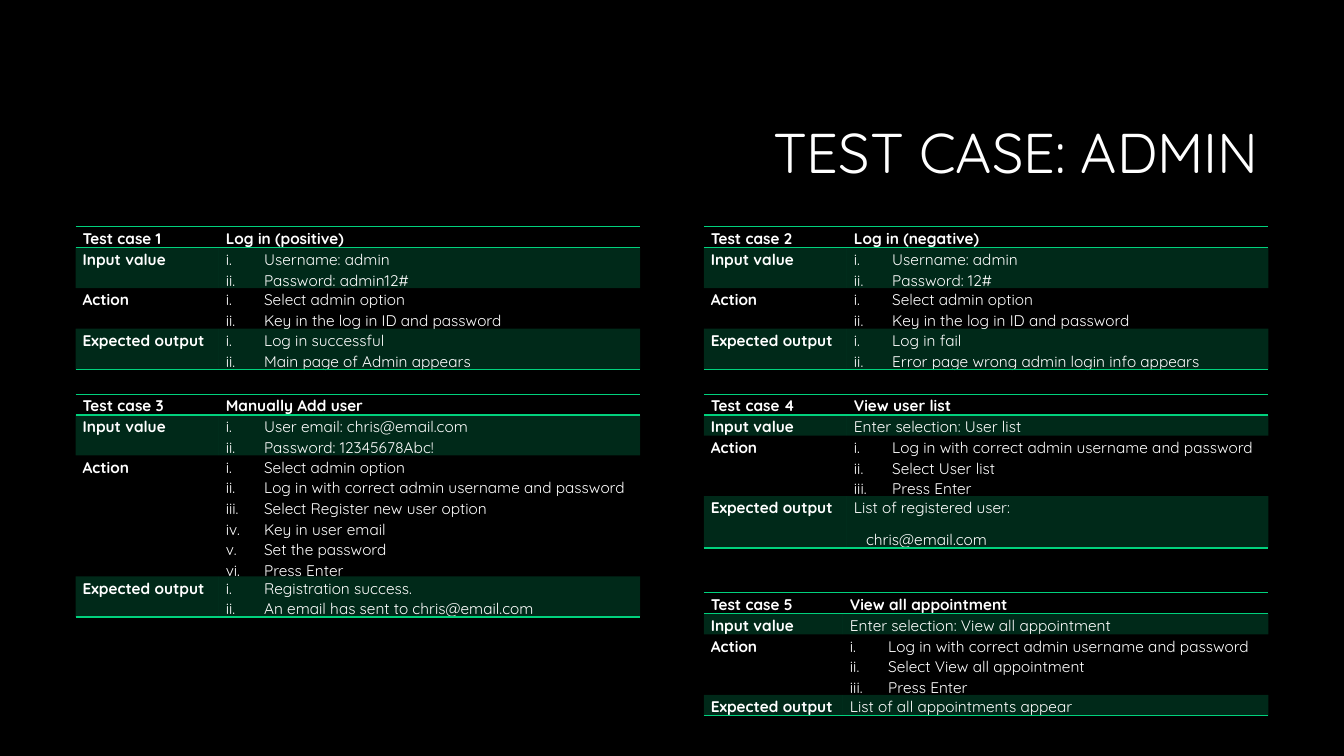
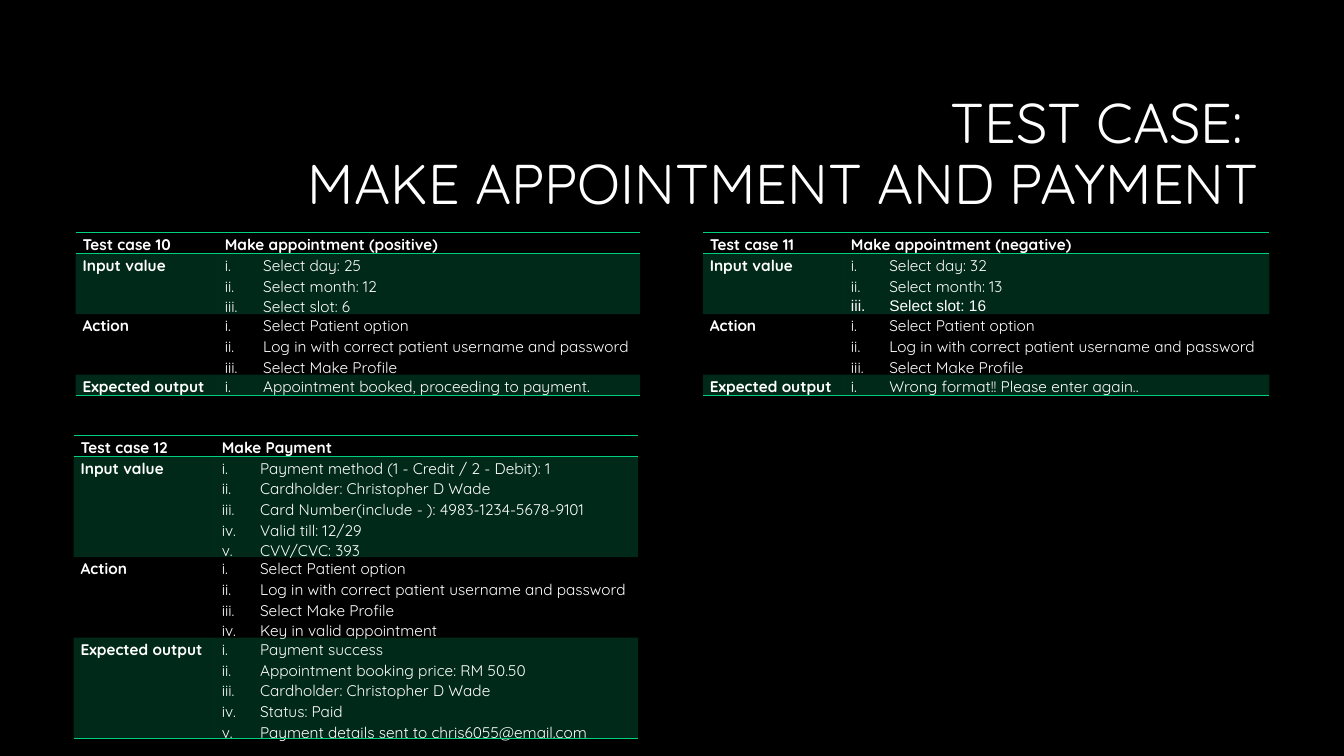
from lxml.etree import SubElement
from pptx import Presentation
from pptx.dml.color import RGBColor
from pptx.enum.text import MSO_ANCHOR, PP_ALIGN
from pptx.oxml.ns import qn
from pptx.util import Inches, Pt

THEME = {
    "background": RGBColor.from_string("000000"),
    "text": RGBColor.from_string("FFFFFF"),
    "accent": "01D17D",
    "band_alpha": "20000",
    "font": "Quicksand",
    "font_exceptions": {"Select slot: 16": "Arial"},
    "title_size": Pt(40),
    "table_size": Pt(11),
    "table_style": "{2D5ABB26-0587-4C30-8999-92F81FD0307C}",
    "border_width": Pt(1),
}
CELL_MARGINS = {
    "margin_left": Inches(0.07),
    "margin_top": Inches(0.01),
    "margin_right": Inches(0.07),
    "margin_bottom": Inches(0),
}
ROW_LABELS = ["Input value", "Action", "Expected output"]
LINE_HEIGHT = 0.2
LEFT, RIGHT = 0.75, 6.98
ADMIN_LOGIN = "Log in with correct admin username and password"
LOGIN_STEPS = ["Select admin option", "Key in the log in ID and password"]
PATIENT_STEPS = [
    "Select Patient option",
    "Log in with correct patient username and password",
    "Select Make Profile",
]
CARDHOLDER = "Cardholder: Christopher D Wade"

SLIDES = [
    {
        "title": "TEST CASE: ADMIN",
        "title_left": 3.17,
        "cases": [
            (1, "Log in (positive)", LEFT, 2.25, (1.42, 4.18), [
                ["Username: admin", "Password: admin12#"],
                LOGIN_STEPS,
                ["Log in successful", "Main page of Admin appears"],
            ]),
            (2, "Log in (negative)", RIGHT, 2.25, (1.42, 4.18), [
                ["Username: admin", "Password: 12#"],
                LOGIN_STEPS,
                ["Log in fail", "Error page wrong admin login info appears"],
            ]),
            (3, "Manually Add user", LEFT, 3.91, (1.42, 4.18), [
                ["User email: chris@email.com", "Password: 12345678Abc!"],
                ["Select admin option", ADMIN_LOGIN, "Select Register new user option",
                 "Key in user email", "Set the password", "Press Enter"],
                ["Registration success.", "An email has sent to chris@email.com"],
            ]),
            (4, "View user list", RIGHT, 3.91, (1.42, 4.18), [
                ("Enter selection: User list",),
                [ADMIN_LOGIN, "Select User list", "Press Enter"],
                ("List of registered user:", "chris@email.com"),
            ]),
            (5, "View all appointment", RIGHT, 5.88, (1.38, 4.22), [
                ("Enter selection: View all appointment",),
                [ADMIN_LOGIN, "Select View all appointment", "Press Enter"],
                ("List of all appointments appear",),
            ]),
        ],
    },
    {
        "title": "TEST CASE: \vMAKE APPOINTMENT AND PAYMENT",
        "title_left": 1.26,
        "cases": [
            (10, "Make appointment (positive)", LEFT, 2.31, (1.41, 4.19), [
                ["Select day: 25", "Select month: 12", "Select slot: 6"],
                PATIENT_STEPS,
                ["Appointment booked, proceeding to payment."],
            ]),
            (11, "Make appointment (negative)", 6.97, 2.31, (1.4, 4.22), [
                ["Select day: 32", "Select month: 13", "Select slot: 16"],
                PATIENT_STEPS,
                ["Wrong format!! Please enter again.."],
            ]),
            (12, "Make Payment", 0.73, 4.32, (1.4, 4.2), [
                ["Payment method (1 - Credit / 2 - Debit): 1", CARDHOLDER,
                 "Card Number(include - ): 4983-1234-5678-9101",
                 "Valid till: 12/29", "CVV/CVC: 393"],
                PATIENT_STEPS + ["Key in valid appointment"],
                ["Payment success", "Appointment booking price: RM 50.50", CARDHOLDER,
                 "Status: Paid", "Payment details sent to chris6055@email.com"],
            ]),
        ],
    },
]


def write_paragraph(paragraph, text, size, bold=False):
    paragraph.text = text
    for run in paragraph.runs:
        run.font.name = THEME["font_exceptions"].get(text, THEME["font"])
        run.font.size = size
        run.font.bold = bold
        run.font.color.rgb = THEME["text"]


def fill_cell(cell, content, bold, banded, borders):
    for name, value in CELL_MARGINS.items():
        setattr(cell, name, value)
    properties = cell._tc.get_or_add_tcPr()
    for side in borders:
        line = SubElement(properties, qn(f"a:{side}"), w=str(THEME["border_width"]))
        solid = SubElement(line, qn("a:solidFill"))
        SubElement(solid, qn("a:srgbClr"), val=THEME["accent"])
    if banded:
        cell.fill.solid()
        cell.fill.fore_color.rgb = RGBColor.from_string(THEME["accent"])
        color = properties.find(qn("a:solidFill")).find(qn("a:srgbClr"))
        SubElement(color, qn("a:alpha"), val=THEME["band_alpha"])
    else:
        cell.fill.background()
    numbered = isinstance(content, list)
    frame = cell.text_frame
    for index, text in enumerate(content):
        paragraph = frame.add_paragraph() if index else frame.paragraphs[0]
        paragraph.line_spacing = 1.07
        paragraph.space_after = Pt(0 if numbered else 8)
        layout = paragraph._p.get_or_add_pPr()
        if numbered:
            layout.set("marL", str(Inches(0.38)))
            layout.set("indent", str(Inches(-0.38)))
            SubElement(layout, qn("a:buFont"), typeface="+mj-lt")
            SubElement(layout, qn("a:buAutoNum"), type="romanLcPeriod")
        elif index:
            layout.set("marL", str(Inches(0.12)))
        write_paragraph(paragraph, text, THEME["table_size"], bold)


presentation = Presentation()
presentation.slide_width = Inches(13.33)
presentation.slide_height = Inches(7.5)
master_fill = presentation.slide_master.background.fill
master_fill.solid()
master_fill.fore_color.rgb = THEME["background"]

for content in SLIDES:
    slide = presentation.slides.add_slide(presentation.slide_layouts[6])
    title_left = content["title_left"]
    title = slide.shapes.add_textbox(
        Inches(title_left), Inches(0.84), Inches(12.58 - title_left), Inches(1.41)
    )
    title.text_frame.word_wrap = True
    title.text_frame.vertical_anchor = MSO_ANCHOR.MIDDLE
    paragraph = title.text_frame.paragraphs[0]
    paragraph.alignment = PP_ALIGN.RIGHT
    paragraph.line_spacing = 0.9
    write_paragraph(paragraph, content["title"], THEME["title_size"])

    for number, name, left, top, widths, details in content["cases"]:
        rows = [((f"Test case {number}",), (name,))]
        rows += [((label,), detail) for label, detail in zip(ROW_LABELS, details)]
        line_total = sum(len(detail) for _, detail in rows)
        table = slide.shapes.add_table(
            len(rows), len(widths), Inches(left), Inches(top),
            Inches(sum(widths)), Inches(LINE_HEIGHT * line_total),
        ).table
        table.first_row = table.horz_banding = False
        table._tbl.tblPr.find(qn("a:tableStyleId")).text = THEME["table_style"]
        for column, width in zip(table.columns, widths):
            column.width = Inches(width)
        for row_index, row in enumerate(rows):
            table.rows[row_index].height = Inches(LINE_HEIGHT * len(row[1]))
            borders = {0: ["lnT", "lnB"], len(rows) - 1: ["lnB"]}.get(row_index, [])
            for column_index, cell_content in enumerate(row):
                fill_cell(
                    table.cell(row_index, column_index),
                    cell_content,
                    bold=row_index == 0 or column_index == 0,
                    banded=row_index % 2 == 1,
                    borders=borders,
                )

presentation.save("out.pptx")
